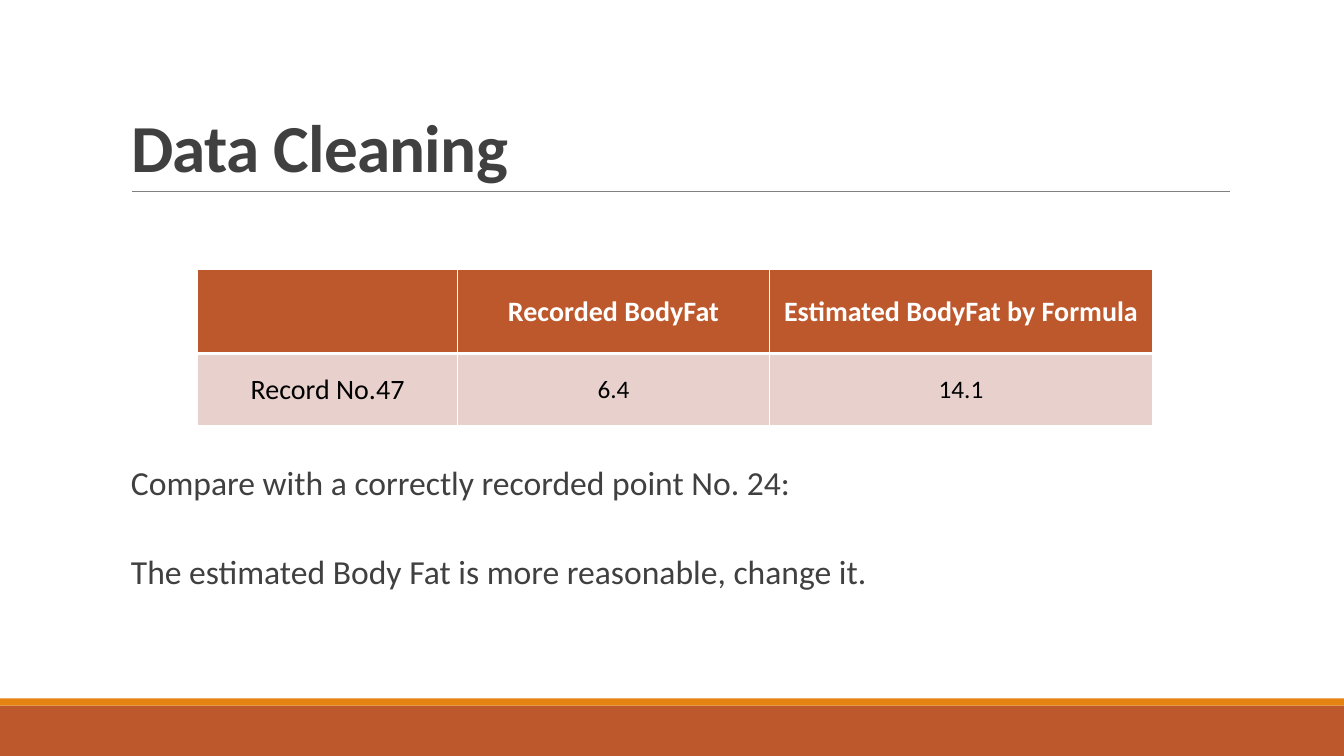
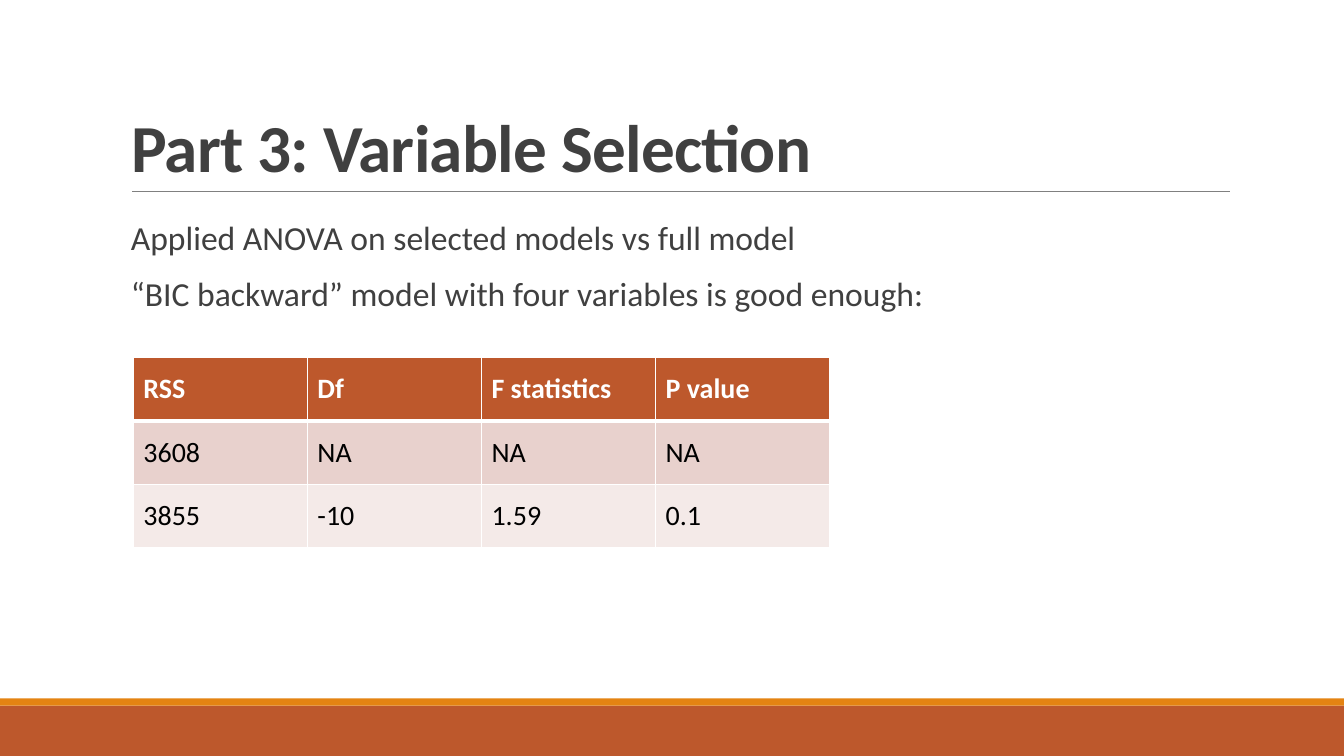
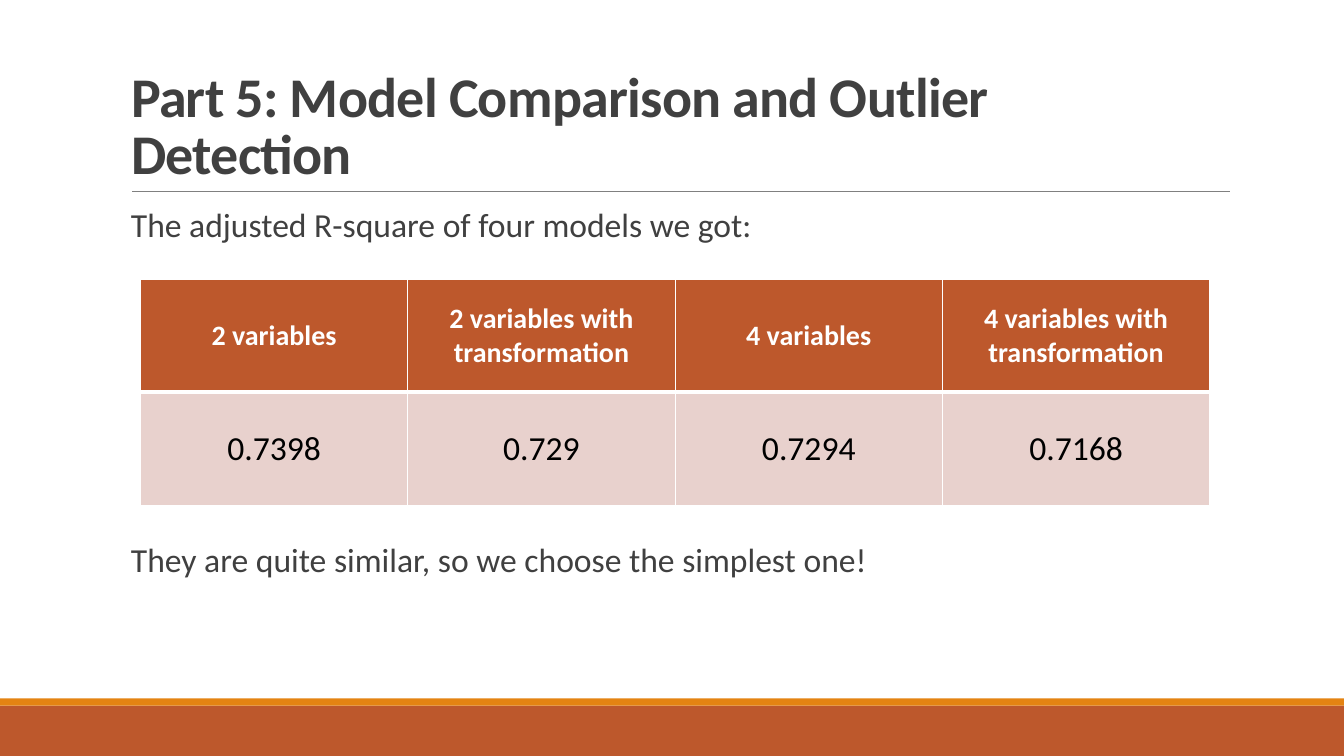
from lxml import etree
from pptx import Presentation
from pptx.dml.color import RGBColor
from pptx.enum import shapes, text
from pptx.oxml import ns
from pptx.util import Cm, Pt

RUST = RGBColor(0xBD, 0x58, 0x2C)
AMBER = RGBColor(0xE4, 0x83, 0x12)
GREY = RGBColor(0x80, 0x80, 0x80)
INK = RGBColor(0x40, 0x40, 0x40)
BLACK = RGBColor(0, 0, 0)
WHITE = RGBColor(0xFF, 0xFF, 0xFF)
ROSE = RGBColor(0xE8, 0xD1, 0xCD)
BLUSH = RGBColor(0xF4, 0xEA, 0xE8)
FONT = "Calibri"
WIDE, HIGH = 33.87, 19.05
LEFT, SPAN = 3.05, 27.94
CENTER = text.PP_ALIGN.CENTER


def write(para, words, size=24, color=INK, bold=False, align=text.PP_ALIGN.LEFT,
          lead=1.0, above=0, below=0, track=0):
    para.alignment = align
    para.line_spacing = lead
    para.space_before, para.space_after = Pt(above), Pt(below)
    run = para.add_run()
    run.text = words
    font = run.font
    font.name, font.size, font.bold = FONT, Pt(size), bold
    font.color.rgb = color
    if track:
        run._r.get_or_add_rPr().set("spc", str(track))


def band(slide, top, tall, color):
    bar = slide.shapes.add_shape(shapes.MSO_SHAPE.RECTANGLE, 0, Cm(top), Cm(WIDE), Cm(tall))
    bar.shadow.inherit = False
    bar.fill.solid()
    bar.fill.fore_color.rgb = color
    bar.line.fill.background()


def rule(slide, left, right, top):
    line = slide.shapes.add_connector(shapes.MSO_CONNECTOR.STRAIGHT,
                                      Cm(left), Cm(top), Cm(right), Cm(top))
    line.line.color.rgb = GREY
    line.line.width = Pt(0.5)
    etree.SubElement(line._element.spPr, ns.qn("a:effectLst"))


def head(slide, box, words, size):
    title = slide.shapes.title
    title.left, title.top, title.width, title.height = map(Cm, box)
    frame = title.text_frame
    frame.word_wrap = True
    frame.auto_size = text.MSO_AUTO_SIZE.NONE
    frame.vertical_anchor = text.MSO_ANCHOR.BOTTOM
    write(frame.paragraphs[0], words, size=size, bold=True, lead=0.85, track=-50)


def start(deck, words, size=48):
    slide = deck.slides.add_slide(deck.slide_layouts[5])
    band(slide, 17.78, 1.27, RUST)
    band(slide, 17.6, 0.18, AMBER)
    rule(slide, 3.33, 30.99, 4.83)
    head(slide, (LEFT, 0.79, SPAN, 4.03), words, size)
    return slide


def body(slide, box, lines, gap=12):
    frame = slide.shapes.add_textbox(*map(Cm, box)).text_frame
    frame.word_wrap = True
    frame.margin_left, frame.margin_right = Cm(0.25), 0
    frame.margin_top = frame.margin_bottom = Cm(0.13)
    for i, words in enumerate(lines):
        para = frame.add_paragraph() if i else frame.paragraphs[0]
        write(para, words, lead=0.9, above=gap if i else 0, below=2)


def edge(cell, side, width):
    line = etree.SubElement(cell._tc.get_or_add_tcPr(), ns.qn("a:ln" + side), w=str(Pt(width)))
    fill = etree.SubElement(line, ns.qn("a:solidFill"))
    etree.SubElement(fill, ns.qn("a:srgbClr"), val=str(WHITE))


def grid(slide, box, data, cols=None, rows=None, align=CENTER, sizes=None):
    across, down = len(data[0]), len(data)
    table = slide.shapes.add_table(down, across, *map(Cm, box)).table
    for col, width in zip(table.columns, cols or [box[2] / across] * across):
        col.width = Cm(width)
    for row, tall in zip(table.rows, rows or [box[3] / down] * down):
        row.height = Cm(tall)
    for r, line in enumerate(data):
        for c, words in enumerate(line):
            cell = table.cell(r, c)
            for side in "LRTB":
                heavy = (r, side) in ((0, "B"), (1, "T"))
                edge(cell, side, 3 if heavy else 1)
            cell.fill.solid()
            cell.fill.fore_color.rgb = (RUST, ROSE, BLUSH)[r]
            cell.vertical_anchor = text.MSO_ANCHOR.MIDDLE
            if words:
                write(cell.text_frame.paragraphs[0], words, align=align, bold=r == 0,
                      size=sizes[r][c] if sizes else 20, color=BLACK if r else WHITE)


def clean(deck):
    slide = start(deck, "Data Cleaning")
    body(slide, (LEFT, 11.63, SPAN, 5.26),
         ["Compare with a correctly recorded point No. 24:",
          "The estimated Body Fat is more reasonable, change it."], gap=35.5)
    grid(slide, (4.98, 6.79, 24.07, 3.94),
         [["", "Recorded BodyFat", "Estimated BodyFat by Formula"],
          ["Record No.47", "6.4", "14.1"]],
         cols=(6.55, 7.86, 9.66), rows=(2.12, 1.82),
         sizes=[[20] * 3, [20, 18, 18]])


def select(deck):
    slide = start(deck, "Part 3: Variable Selection")
    body(slide, (LEFT, 5.44, SPAN, 11.18),
         ["Applied ANOVA on selected models vs full model",
          "“BIC backward” model with four variables is good enough:"], gap=12.5)
    grid(slide, (3.36, 9.01, 17.55, 4.8),
         [["RSS", "Df", "F statistics", "P value"],
          ["3608", "NA", "NA", "NA"],
          ["3855", "-10", "1.59", "0.1"]], align=text.PP_ALIGN.LEFT)


def compare(deck):
    slide = start(deck, "Part 5: Model Comparison and Outlier Detection", size=40)
    body(slide, (LEFT, 5.13, SPAN, 11.18),
         ["The adjusted R-square of four models we got:",
          "They are quite similar, so we choose the simplest one!"], gap=211)
    grid(slide, (3.54, 7.04, 26.95, 5.69),
         [["2 variables", "2 variables with transformation",
           "4 variables", "4 variables with transformation"],
          ["0.7398", "0.729", "0.7294", "0.7168"]],
         sizes=[[20] * 4, [24] * 4])


deck = Presentation()
deck.slide_width, deck.slide_height = Cm(WIDE), Cm(HIGH)
for make in (clean, select, compare):
    make(deck)
deck.save("out.pptx")
